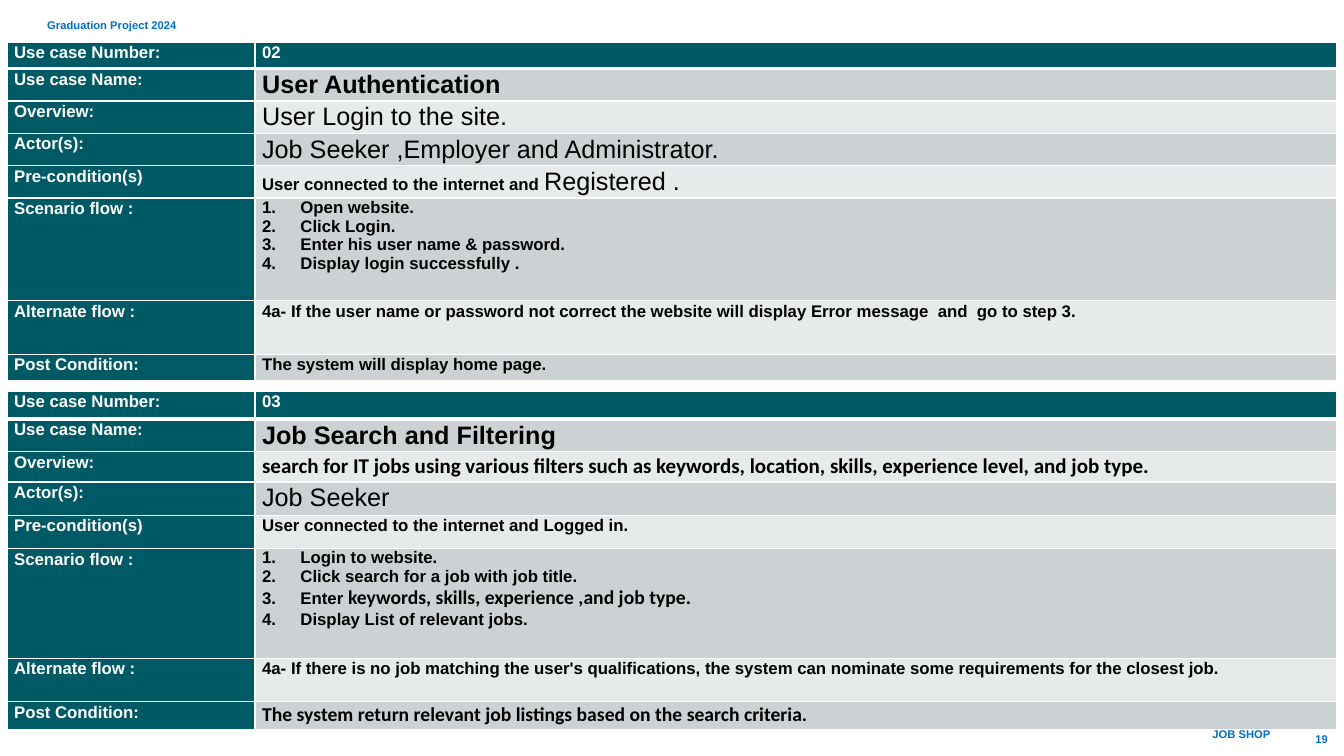
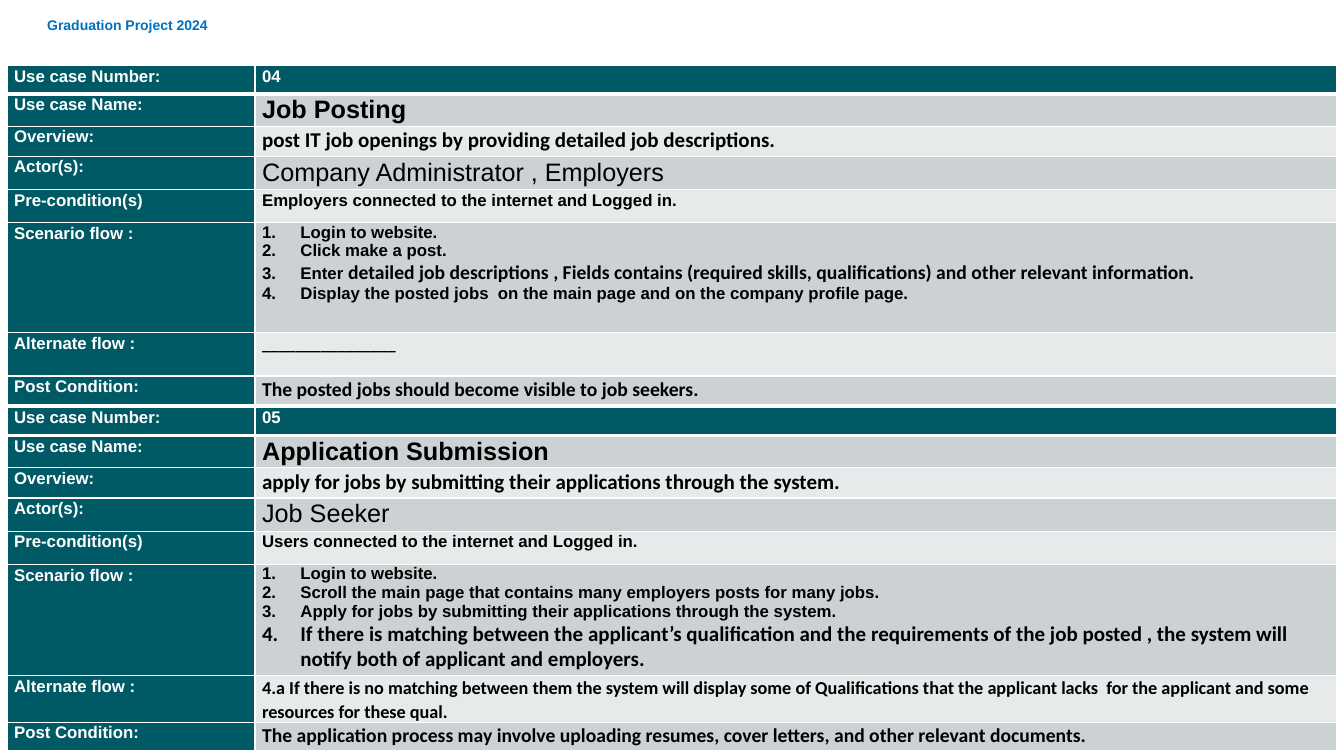
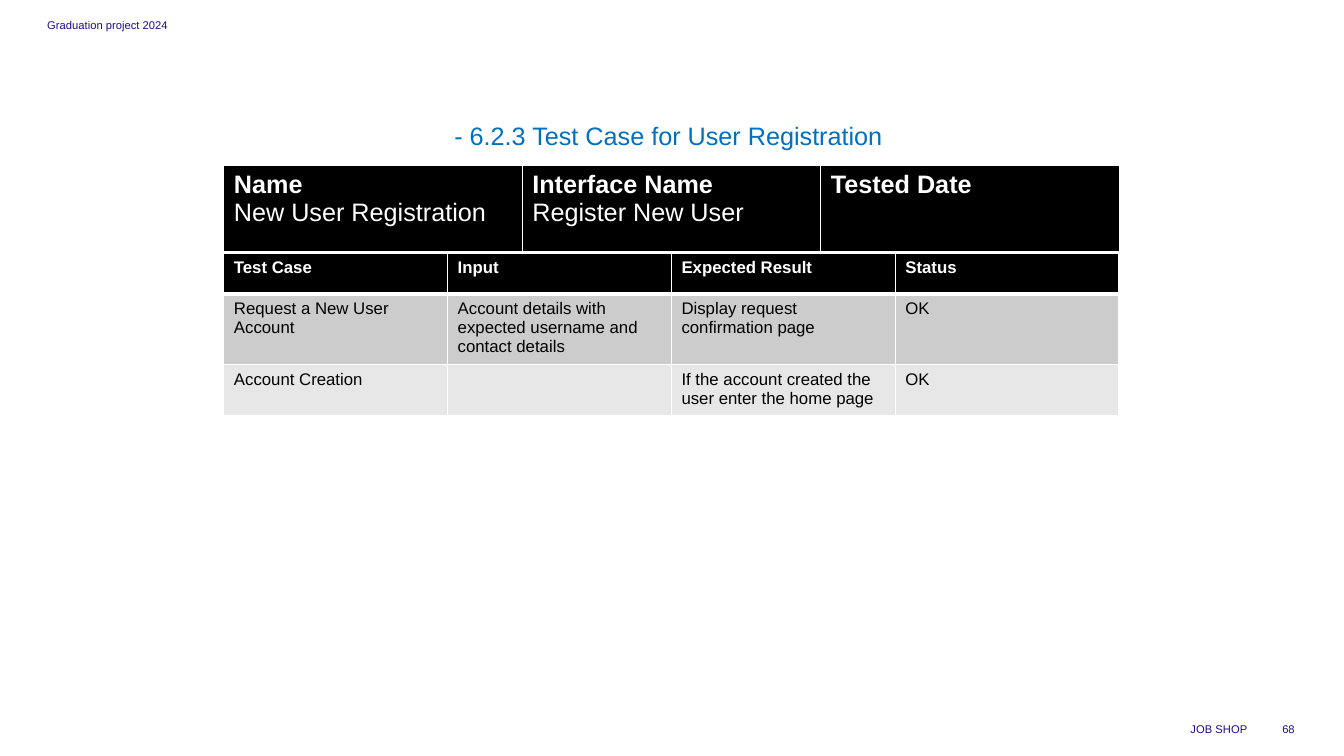
from dataclasses import dataclass

from lxml import etree
from pptx import Presentation
from pptx.dml.color import RGBColor
from pptx.enum import text
from pptx.oxml import ns
from pptx.util import Emu, Pt

SCALE = 9144


@dataclass(frozen=True)
class Theme:
    sans: str = "Arial"
    alt: str = "Calibri"
    white: str = "FFFFFF"
    black: str = "000000"
    teal: str = "005A66"
    dark: str = "CCD2D3"
    pale: str = "E7EAEA"
    gray: str = "CCCCCC"
    mist: str = "E7E7E7"
    blue: str = "0070C0"
    navy: str = "200C8C"
    tiny: int = 8
    note: int = 10
    body: int = 12
    wide: int = 13
    step: int = 14
    lead: int = 15
    head: int = 18
    thin: int = 1
    thick: int = 3
    space: float = 1.07


T = Theme()


@dataclass(frozen=True)
class Span:
    words: str
    size: int = T.body
    font: str = T.sans
    bold: bool = True
    color: str = T.black


@dataclass(frozen=True)
class Box:
    left: int
    top: int
    width: int
    height: int


Line = tuple[Span, ...]


@dataclass(frozen=True)
class Cell:
    lines: tuple[Line, ...]
    fill: str
    steps: bool = False


@dataclass(frozen=True)
class Style:
    side: int
    edge: int
    space: float


@dataclass(frozen=True)
class Case:
    code: str
    name: str
    view: Span
    actor: str
    need: Line
    steps: tuple[Line, ...]
    other: Span
    after: Span


CASE = Style(7, 0, T.space)
TEST = Style(10, 5, 1.0)
LABELS = ("Use case Number:", "Use case Name:", "Overview:", "Actor(s):",
          "Pre-condition(s)", "Scenario flow :", "Alternate flow :",
          "Post Condition:")
SHORT = (26, 30, 30, 30, 30, 102, 53, 26)
TALL = (28, 32, 30, 33, 33, 109, 43, 28)


def px(size: int) -> Emu:
    return Emu(size * SCALE)


def paint(para, line: Line) -> None:
    for span in line:
        run = para.add_run()
        run.text = span.words
        font = run.font
        font.name = span.font
        font.size = Pt(span.size)
        font.bold = span.bold
        font.color.rgb = RGBColor.from_string(span.color)


def count(para) -> None:
    props = para._p.get_or_add_pPr()
    props.set("marL", str(px(38)))
    props.set("indent", str(px(-38)))
    mark = etree.SubElement(props, ns.qn("a:buAutoNum"))
    mark.set("type", "arabicPeriod")


def border(cell, top: int, bottom: int) -> None:
    props = cell._tc.get_or_add_tcPr()
    sides = {"lnL": T.thin, "lnR": T.thin, "lnT": top, "lnB": bottom}
    for tag, width in sides.items():
        edge = etree.SubElement(props, ns.qn(f"a:{tag}"), w=str(Pt(width)))
        fill = etree.SubElement(edge, ns.qn("a:solidFill"))
        etree.SubElement(fill, ns.qn("a:srgbClr"), val=T.white)


def write(cell, item: Cell, style: Style) -> None:
    cell.margin_left = cell.margin_right = px(style.side)
    cell.margin_top = cell.margin_bottom = px(style.edge)
    frame = cell.text_frame
    for index, line in enumerate(item.lines):
        para = frame.add_paragraph() if index else frame.paragraphs[0]
        if item.steps:
            count(para)
        else:
            para.line_spacing = style.space
        paint(para, line)


def grid(slide, left: int, top: int, cols: tuple[int, ...],
         rows: tuple[int, ...], cells: list[list[Cell]], style: Style) -> None:
    frame = slide.shapes.add_table(len(rows), len(cols), px(left), px(top),
                                   px(sum(cols)), px(sum(rows)))
    table = frame.table
    table.first_row = table.horz_banding = False
    for col, width in zip(table.columns, cols):
        col.width = px(width)
    for index, (row, height) in enumerate(zip(table.rows, rows)):
        row.height = px(height)
        above = T.thick if index == 1 else T.thin
        below = T.thick if index == 0 else T.thin
        for cell, item in zip(row.cells, cells[index]):
            border(cell, above, below)
            cell.fill.solid()
            cell.fill.fore_color.rgb = RGBColor.from_string(item.fill)
            write(cell, item, style)


def label(slide, box: Box, span: Span, align=text.PP_ALIGN.LEFT,
          anchor=text.MSO_ANCHOR.MIDDLE) -> None:
    shape = slide.shapes.add_textbox(px(box.left), px(box.top),
                                     px(box.width), px(box.height))
    frame = shape.text_frame
    frame.word_wrap = True
    frame.vertical_anchor = anchor
    para = frame.paragraphs[0]
    para.alignment = align
    paint(para, (span,))


def header(slide, words: str, size: int, bold: bool, color: str) -> None:
    label(slide, Box(37, 7, 300, 35), Span(words, size, T.sans, bold, color))


def footer(slide, name: Box, page: Box, code: str, bold: bool,
           color: str) -> None:
    for box, words in ((name, "JOB SHOP"), (page, code)):
        label(slide, box, Span(words, T.tiny, T.sans, bold, color),
              text.PP_ALIGN.RIGHT)


def sheet(slide, case: Case, top: int, rows: tuple[int, ...]) -> None:
    values = (
        ((Span(case.code, color=T.white),),),
        ((Span(case.name, T.head),),),
        ((case.view,),),
        ((Span(case.actor, T.head, bold=False),),),
        (case.need,),
        case.steps,
        ((case.other,),),
        ((case.after,),),
    )
    cells = []
    for index, (name, lines) in enumerate(zip(LABELS, values)):
        band = T.dark if index % 2 else T.pale
        fill = band if index else T.teal
        cells.append([Cell(((Span(name, color=T.white),),), T.teal),
                      Cell(lines, fill, lines is case.steps)])
    grid(slide, 7, top, (246, 1073), rows, cells, CASE)


def lead(words: str) -> Span:
    return Span(words, T.lead, T.alt)


def step(words: str) -> Span:
    return Span(words, T.step, T.alt)


LOGIN = Case(
    "02", "User Authentication",
    Span("User Login to the site.", T.head, bold=False),
    "Job Seeker ,Employer and Administrator.",
    (Span("User connected to the internet and "),
     Span("Registered .", T.head, bold=False)),
    ((Span("Open website."),),
     (Span("Click Login."),),
     (Span("Enter his user name & password."),),
     (Span("Display login successfully ."),)),
    Span("4a- If the user name or password not correct the website will "
         "display Error message  and  go to step 3."),
    Span("The system will display home page."),
)
SEARCH = Case(
    "03", "Job Search and Filtering",
    lead("search for IT jobs using various filters such as keywords, "
         "location, skills, experience level, and job type."),
    "Job Seeker",
    (Span("User connected to the internet and Logged in."),),
    ((Span("Login to website."),),
     (Span("Click search for a job with job title."),),
     (Span("Enter "), step("keywords, skills, experience ,and job type.")),
     (Span("Display List of relevant jobs."),)),
    Span("4a- If there is no job matching the user's qualifications, the "
         "system can nominate some requirements for the closest job."),
    step("The system return relevant job listings based on the search "
         "criteria."),
)
POST = Case(
    "04", "Job Posting",
    lead("post IT job openings by providing detailed job descriptions."),
    "Company Administrator , Employers",
    (Span("Employers connected to the internet and Logged in."),),
    ((Span("Login to website."),),
     (Span("Click make a post."),),
     (Span("Enter "),
      step("detailed job descriptions , Fields contains (required skills, "
           "qualifications) and other relevant information.")),
     (Span("Display the posted jobs  on the main page and on the company "
           "profile page."),)),
    Span("________________", font=T.alt),
    step("The posted jobs should become visible to job seekers."),
)
APPLY = Case(
    "05", "Application Submission",
    lead("apply for jobs by submitting their applications through the "
         "system."),
    "Job Seeker",
    (Span("Users connected to the internet and Logged in."),),
    ((Span("Login to website."),),
     (Span("Scroll the main page that contains many employers posts for "
           "many jobs."),),
     (Span("Apply for jobs by submitting their applications through the "
           "system."),),
     (lead("If there is matching between the applicant’s qualification and "
           "the requirements of the job posted , the system will notify "
           "both of applicant and employers."),)),
    Span("4.a If there is no matching between them the system will display "
         "some of Qualifications that the applicant lacks  for the "
         "applicant and some resources for these qual.", T.wide, T.alt),
    step("The application process may involve uploading resumes, cover "
         "letters, and other relevant documents."),
)

HEADS = (("Name", "New User Registration"),
         ("Interface Name", "Register New User"),
         ("Tested Date",))
TESTS = (
    ("Test Case", "Input", "Expected Result", "Status"),
    ("Request a New User Account",
     "Account details with expected username and contact details",
     "Display request confirmation page", "OK"),
    ("Account Creation", "",
     "If the account created the user enter the home page", "OK"),
)


def access(slide) -> None:
    header(slide, "Graduation Project 2024", T.tiny, True, T.blue)
    footer(slide, Box(1095, 708, 175, 40), Box(1271, 723, 56, 20), "19",
           True, T.blue)
    sheet(slide, LOGIN, 42, SHORT)
    sheet(slide, SEARCH, 388, TALL)


def hiring(slide) -> None:
    header(slide, "Graduation Project 2024", T.note, True, T.blue)
    sheet(slide, POST, 65, TALL)
    sheet(slide, APPLY, 404, TALL)


def testing(slide) -> None:
    header(slide, "Graduation project 2024", T.tiny, False, T.navy)
    footer(slide, Box(803, 703, 444, 40), Box(1247, 703, 47, 40), "68",
           False, T.navy)
    label(slide, Box(0, 114, 1333, 40),
          Span("- 6.2.3 Test Case for User Registration ", T.head,
               bold=False, color=T.blue),
          text.PP_ALIGN.CENTER, text.MSO_ANCHOR.TOP)
    heads = [Cell(tuple((Span(words, T.head, bold=not index, color=T.white),)
                        for index, words in enumerate(lines)), T.black)
             for lines in HEADS]
    grid(slide, 222, 164, (296,) * 3, (87,), [heads], TEST)
    cells = []
    for index, (row, fill) in enumerate(zip(TESTS, (T.black, T.gray, T.mist))):
        color = T.black if index else T.white
        cells.append([
            Cell(((Span(words, bold=not index, color=color),),)
                 if words else (), fill)
            for words in row])
    grid(slide, 222, 251, (222,) * 4, (41, 70, 50), cells, TEST)


def main() -> None:
    deck = Presentation()
    deck.slide_width = px(1333)
    deck.slide_height = px(750)
    for draw in (access, hiring, testing):
        draw(deck.slides.add_slide(deck.slide_layouts[6]))
    deck.save("out.pptx")


if __name__ == "__main__":
    main()
